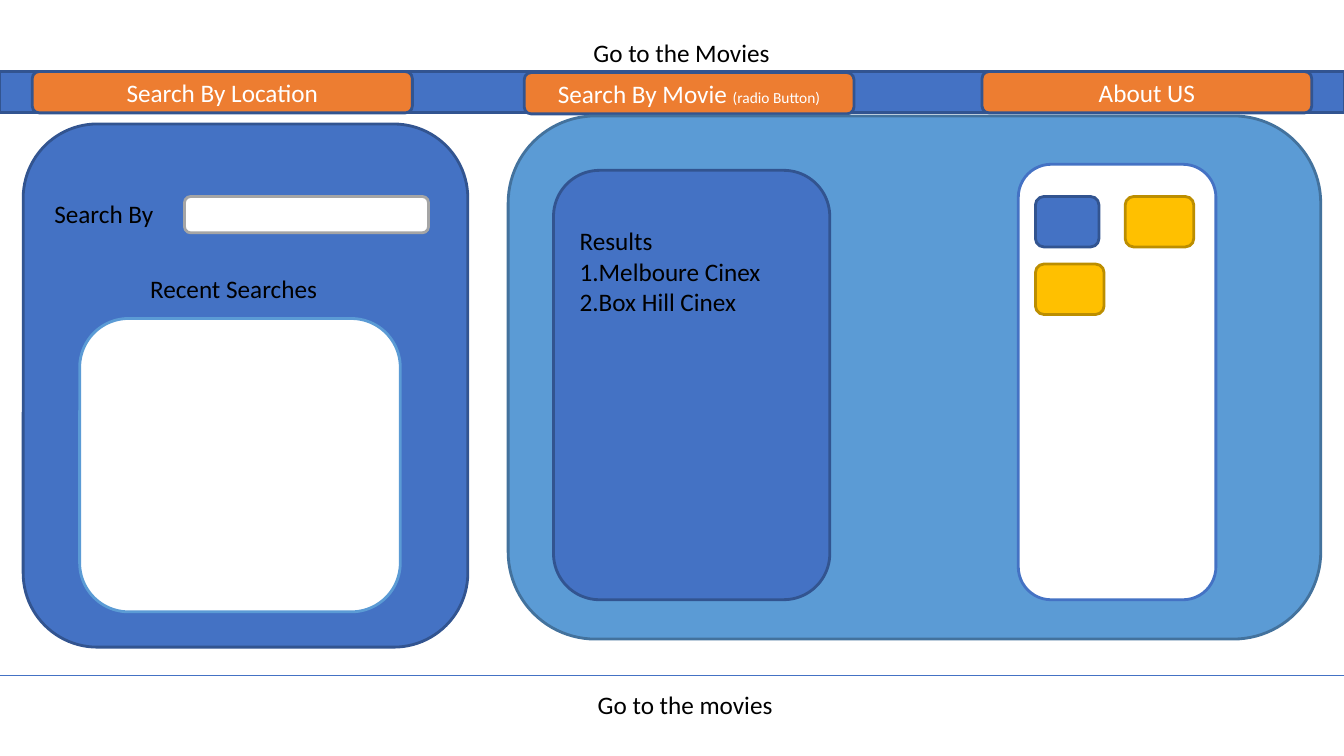
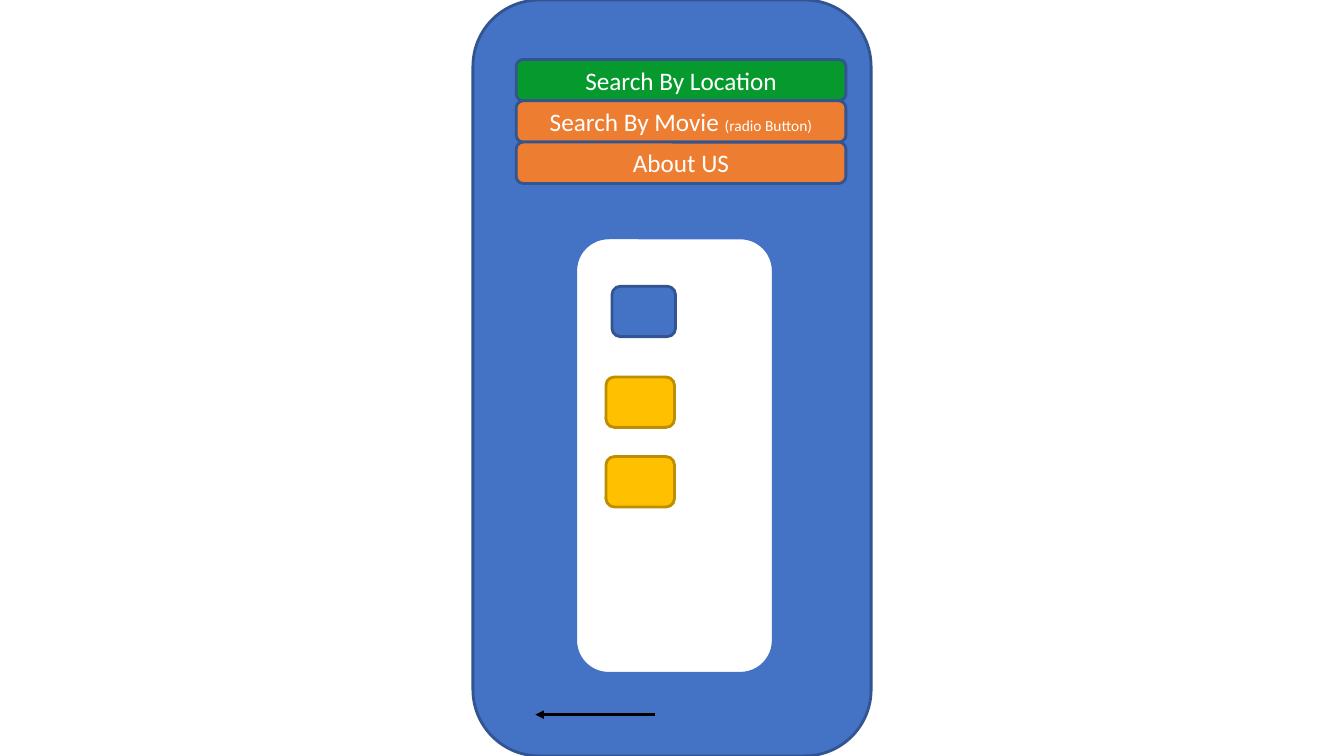
import pptx
import pptx.util
import pptx.dml.color
import pptx.enum.shapes
import pptx.enum.text
import pptx.oxml
import pptx.oxml.ns

Inches = pptx.util.Inches
Pt = pptx.util.Pt
SHAPE = pptx.enum.shapes.MSO_SHAPE
ALIGN = pptx.enum.text.PP_ALIGN
ANCHOR = pptx.enum.text.MSO_ANCHOR

FONT = "Calibri"
BLUE, NAVY, SKY, STEEL = "4472C4", "325490", "5B9BD5", "43729D"
ORANGE, GREEN, GOLD, BRONZE = "ED7D31", "069A2E", "FFC000", "BC8E00"
WHITE, BLACK, GREY = "FFFFFF", "000000", "A5A5A5"

LOCATION = ["Search By Location"]
MOVIE = ["Search By Movie ", "(radio Button)"]
ABOUT = ["About US"]
BUTTON_W, BUTTON_H = 3.27, 0.41


def rgb(value):
    return pptx.dml.color.RGBColor.from_string(value)


def style_run(r, color, size=18):
    r.font.name = FONT
    r.font.size = Pt(size)
    r.font.color.rgb = rgb(color)


def add_box(s, x, y, w, h, fill, line, kind=SHAPE.ROUNDED_RECTANGLE):
    sp = s.shapes.add_shape(kind, Inches(x), Inches(y), Inches(w), Inches(h))
    sp.shadow.inherit = False
    sp.fill.solid()
    sp.fill.fore_color.rgb = rgb(fill)
    sp.line.color.rgb = rgb(line)
    sp.line.width = Pt(2)
    return sp


def add_button(s, x, y, words, fill=ORANGE, w=BUTTON_W):
    sp = add_box(s, x, y, w, BUTTON_H, fill, NAVY)
    tf = sp.text_frame
    tf.vertical_anchor = ANCHOR.MIDDLE
    p = tf.paragraphs[0]
    p.alignment = ALIGN.CENTER
    for word, size in zip(words, (18, 11)):
        r = p.add_run()
        r.text = word
        style_run(r, WHITE, size)


def add_text(s, x, y, w, h, text, align=ALIGN.LEFT, anchor=ANCHOR.TOP):
    tf = s.shapes.add_textbox(Inches(x), Inches(y), Inches(w), Inches(h)).text_frame
    tf.word_wrap = True
    tf.vertical_anchor = anchor
    tf.text = text
    for p in tf.paragraphs:
        p.alignment = align
        for r in p.runs:
            style_run(r, BLACK)


def add_line(s, x1, x2, y, color, width, arrow=False):
    c = s.shapes.add_connector(pptx.enum.shapes.MSO_CONNECTOR.STRAIGHT,
                               Inches(x1), Inches(y), Inches(x2), Inches(y))
    c.line.color.rgb = rgb(color)
    c.line.width = Pt(width)
    if arrow:
        head = pptx.oxml.ns.qn("a:headEnd")
        c.line._get_or_add_ln().append(
            pptx.oxml.parse_xml('<a:headEnd %s type="triangle"/>' % pptx.oxml.ns.nsdecls("a")))
    c._element.spPr.append(
        pptx.oxml.parse_xml("<a:effectLst %s/>" % pptx.oxml.ns.nsdecls("a")))


def add_seat_panel(s, x, y, blue_seat, gold_seats):
    add_box(s, x, y, 1.96, 4.32, WHITE, BLUE)
    add_box(s, *blue_seat, 0.63, 0.5, BLUE, NAVY)
    for seat in gold_seats:
        add_box(s, *seat, 0.68, 0.5, GOLD, BRONZE)


def build_desktop(s):
    add_text(s, 4.09, 0, 5.34, 1.04, "Go to the Movies", ALIGN.CENTER, ANCHOR.MIDDLE)
    add_line(s, 0, 13.33, 6.7, BLUE, 0.75)
    add_text(s, 5.83, 6.79, 2.02, 0.4, "Go to the movies ")

    add_box(s, 0, 0.71, 13.33, BUTTON_H, BLUE, NAVY, SHAPE.RECTANGLE)
    add_button(s, 0.32, 0.71, LOCATION, w=3.77)
    add_button(s, 5.2, 0.72, MOVIE)
    add_button(s, 9.74, 0.71, ABOUT)

    add_box(s, 5.04, 1.15, 8.06, 5.19, SKY, STEEL)
    add_box(s, 0.23, 1.23, 4.41, 5.19, BLUE, NAVY)
    add_box(s, 1.83, 1.95, 2.42, 0.36, WHITE, GREY)
    add_text(s, 0.44, 1.92, 1.48, 0.4, "Search By")
    add_text(s, 1.39, 2.66, 2.08, 0.4, "Recent Searches")
    add_box(s, 0.79, 3.16, 3.18, 2.91, WHITE, SKY)

    add_box(s, 5.49, 1.69, 2.74, 4.26, BLUE, NAVY)
    add_text(s, 5.65, 2.19, 2.05, 1, "Results\n1.Melboure Cinex\n2.Box Hill Cinex ")
    add_seat_panel(s, 10.1, 1.63, (10.27, 1.95), [(11.16, 1.95), (10.27, 2.62)])


def build_mobile(s):
    add_box(s, 4.69, 0, 3.95, 7.5, BLUE, NAVY)
    menu = [(LOCATION, GREEN), (MOVIE, ORANGE), (ABOUT, ORANGE)]
    for i, (words, fill) in enumerate(menu):
        add_button(s, 5.12, 0.59 + i * BUTTON_H, words, fill)
    add_seat_panel(s, 5.71, 2.36, (6.07, 2.84), [(6.01, 3.74), (6.01, 4.53)])
    add_line(s, 5.31, 6.5, 7.09, BLACK, 0, arrow=True)


def main():
    prs = pptx.Presentation()
    prs.slide_width = Inches(13.33)
    prs.slide_height = Inches(7.5)
    for build in (build_desktop, build_mobile):
        build(prs.slides.add_slide(prs.slide_layouts[6]))
    prs.save("out.pptx")


main()
